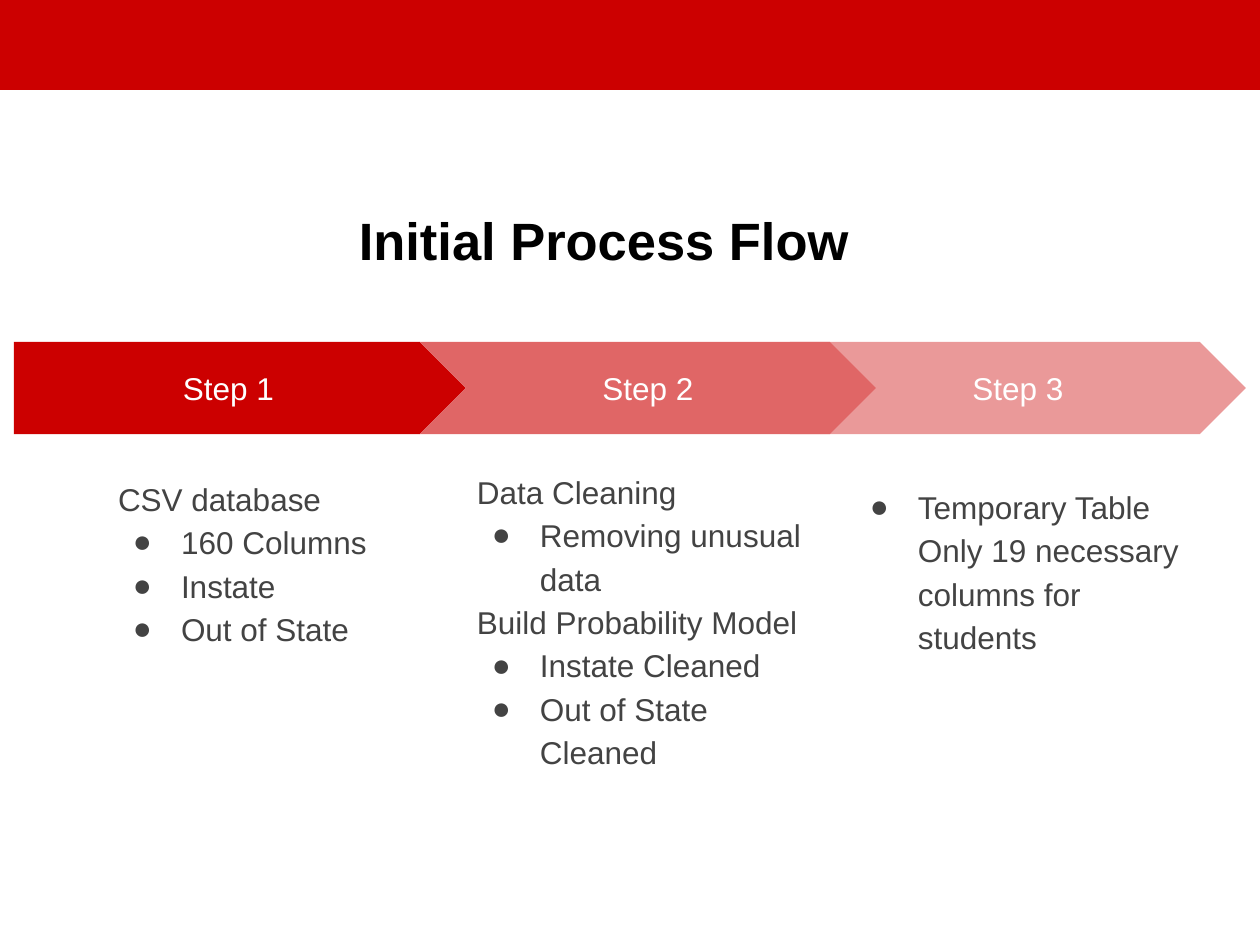
from dataclasses import dataclass

from lxml import etree
from pptx import Presentation
from pptx.dml.color import RGBColor
from pptx.enum.shapes import MSO_SHAPE
from pptx.enum.text import MSO_ANCHOR, MSO_AUTO_SIZE, PP_ALIGN
from pptx.oxml.ns import qn
from pptx.util import Pt

RECTANGLE, PENTAGON, CHEVRON = MSO_SHAPE.RECTANGLE, MSO_SHAPE.PENTAGON, MSO_SHAPE.CHEVRON
TOP, MIDDLE = MSO_ANCHOR.TOP, MSO_ANCHOR.MIDDLE
LEFT, CENTER = PP_ALIGN.LEFT, PP_ALIGN.CENTER
NO_AUTOFIT = MSO_AUTO_SIZE.NONE
TITLE_ONLY = 5
PX = 914400 / 126
WIDTH, HEIGHT = 1260, 945
INSET = 13
INDENT, HANGING = 63, -48
ARROW_TOP, ARROW_HEIGHT = 342, 92
BODY_HEIGHT = 360
PLAIN, BULLET, CONTINUED = "plain", "bullet", "continued"


@dataclass(frozen=True)
class Theme:
    font: str = "Arial"
    title_size: int = 30
    text_size: int = 18
    line_spacing: float = 1.15
    red: str = "CC0000"
    medium_red: str = "E06666"
    light_red: str = "EA9999"
    title: str = "000000"
    body: str = "434343"
    white: str = "FFFFFF"


THEME = Theme()

# Listed from back to front, so that each arrow overlaps the next step's notch.
STEPS = [
    dict(label="Step 3", preset=CHEVRON, color=THEME.light_red,
         arrow=(790, 456), body=(842, 469, 352),
         lines=[(BULLET, "Temporary Table"),
                (CONTINUED, "Only 19 necessary columns for students")]),
    dict(label="Step 1", preset=PENTAGON, color=THEME.red,
         arrow=(14, 452), body=(105, 461, 309),
         lines=[(PLAIN, "CSV database"), (BULLET, "160 Columns"),
                (BULLET, "Instate"), (BULLET, "Out of State")]),
    dict(label="Step 2", preset=CHEVRON, color=THEME.medium_red,
         arrow=(420, 456), body=(464, 454, 367),
         lines=[(PLAIN, "Data Cleaning"), (BULLET, "Removing unusual data"),
                (PLAIN, "Build Probability Model"), (BULLET, "Instate Cleaned"),
                (BULLET, "Out of State Cleaned")]),
]


def emu(*lengths):
    return [round(length * PX) for length in lengths]


def prepare_frame(frame, anchor):
    frame.word_wrap = True
    frame.auto_size = NO_AUTOFIT
    frame.vertical_anchor = anchor
    inset, = emu(INSET)
    frame.margin_left = frame.margin_right = inset
    frame.margin_top = frame.margin_bottom = inset


def format_paragraph(paragraph, size, color, alignment, bold=False):
    paragraph.alignment = alignment
    font = paragraph.font
    font.name, font.size, font.bold = THEME.font, Pt(size), bold
    font.color.rgb = RGBColor.from_string(color)


def indent_paragraph(paragraph, first_line):
    properties = paragraph._p.get_or_add_pPr()
    margin, indent = emu(INDENT, first_line)
    properties.set("marL", str(margin))
    properties.set("indent", str(indent))


def add_bullet(paragraph):
    """Put the bullet elements before the default run properties, as the schema asks."""
    properties = paragraph._p.get_or_add_pPr()
    color = etree.Element(qn("a:buClr"))
    etree.SubElement(color, qn("a:srgbClr"), val=THEME.body)
    font = etree.Element(qn("a:buFont"), typeface=THEME.font)
    character = etree.Element(qn("a:buChar"), char="●")
    run_defaults = properties.find(qn("a:defRPr"))
    for element in (color, font, character):
        run_defaults.addprevious(element)


def add_filled_shape(shapes, preset, box, color):
    shape = shapes.add_shape(preset, *emu(*box))
    shape.shadow.inherit = False
    shape.fill.solid()
    shape.fill.fore_color.rgb = RGBColor.from_string(color)
    shape.line.fill.background()
    return shape


def place_title(slide, box, text):
    title = slide.shapes.title
    title.left, title.top, title.width, title.height = emu(*box)
    title.text_frame.text = text
    prepare_frame(title.text_frame, TOP)
    format_paragraph(title.text_frame.paragraphs[0], THEME.title_size, THEME.title, CENTER, True)


def add_arrow(shapes, box, preset, color, label):
    arrow = add_filled_shape(shapes, preset, box, color)
    arrow.adjustments[0] = 0.5
    arrow.text_frame.text = label
    prepare_frame(arrow.text_frame, MIDDLE)
    format_paragraph(arrow.text_frame.paragraphs[0], THEME.text_size, THEME.white, CENTER)


def add_body(shapes, box, lines):
    frame = shapes.add_textbox(*emu(*box)).text_frame
    prepare_frame(frame, TOP)
    frame.text = "\n".join(text for _, text in lines)
    for paragraph, (style, _) in zip(frame.paragraphs, lines):
        paragraph.line_spacing = THEME.line_spacing
        format_paragraph(paragraph, THEME.text_size, THEME.body, LEFT)
        if style != PLAIN:
            indent_paragraph(paragraph, HANGING if style == BULLET else 0)
        if style == BULLET:
            add_bullet(paragraph)


def add_step(slide, step):
    shapes = slide.shapes.add_group_shape().shapes
    arrow_left, arrow_width = step["arrow"]
    add_arrow(shapes, (arrow_left, ARROW_TOP, arrow_width, ARROW_HEIGHT),
              step["preset"], step["color"], step["label"])
    add_body(shapes, (*step["body"], BODY_HEIGHT), step["lines"])


def main():
    presentation = Presentation()
    presentation.slide_width, presentation.slide_height = emu(WIDTH, HEIGHT)
    slide = presentation.slides.add_slide(presentation.slide_layouts[TITLE_ONLY])
    add_filled_shape(slide.shapes, RECTANGLE, (0, 0, WIDTH, 90), THEME.red)
    for step in STEPS:
        add_step(slide, step)
    place_title(slide, (263, 195, 682, 95), "Initial Process Flow")
    presentation.save("out.pptx")


if __name__ == "__main__":
    main()
